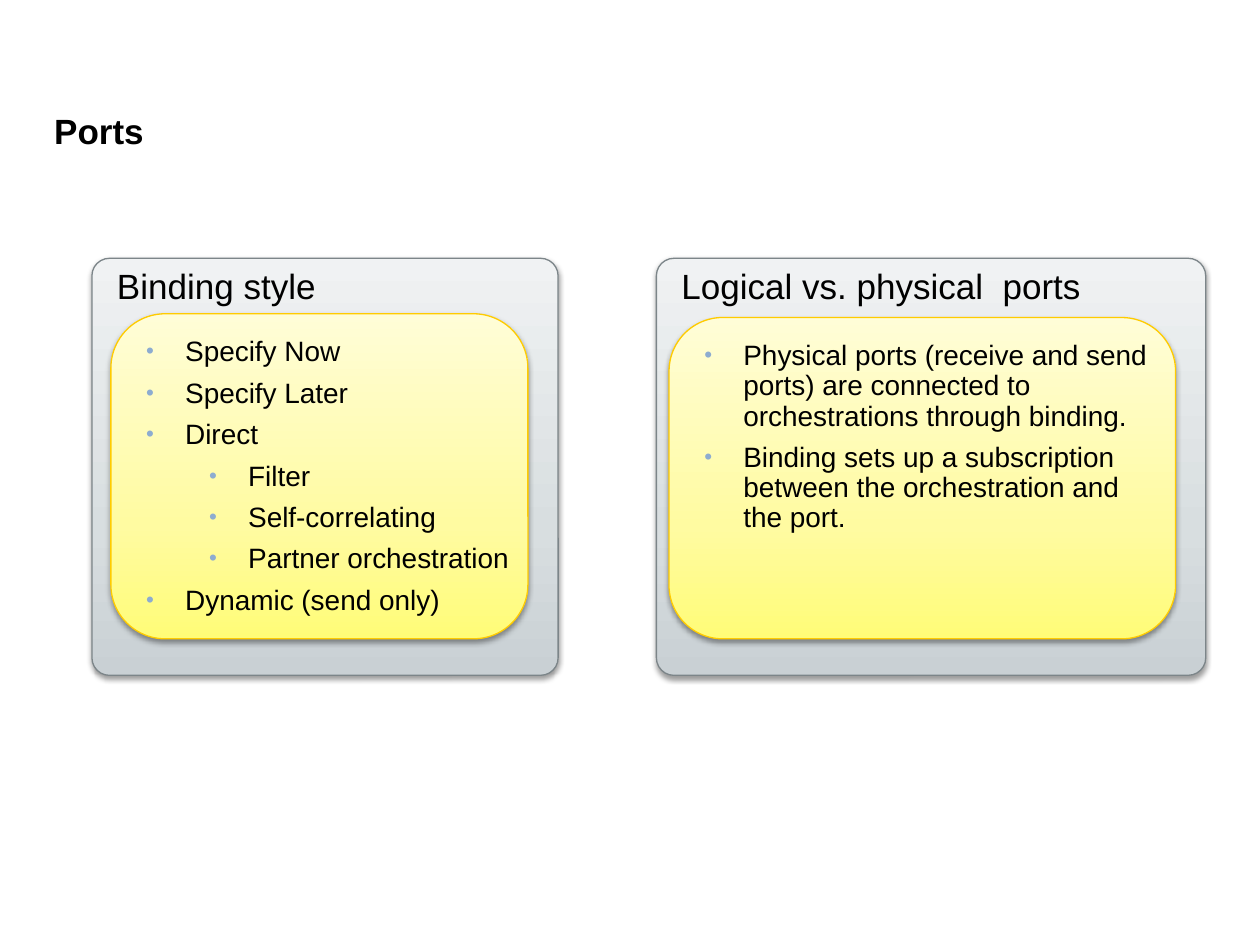
from lxml import etree
from pptx import Presentation
from pptx.dml.color import RGBColor
from pptx.enum.shapes import MSO_SHAPE
from pptx.enum.text import MSO_ANCHOR, MSO_AUTO_SIZE, PP_ALIGN
from pptx.oxml import parse_xml
from pptx.util import Inches, Pt

ROUND = MSO_SHAPE.ROUNDED_RECTANGLE
TOP, MIDDLE = MSO_ANCHOR.TOP, MSO_ANCHOR.MIDDLE
LEFT = PP_ALIGN.LEFT
NO_FIT = MSO_AUTO_SIZE.NONE
NS = "http://schemas.openxmlformats.org/drawingml/2006/main"

HEX = {"text": "000000", "bullet": "8DACD0", "grey": "7C8589", "gold": "FFCB00"}
FADES = {
    "grey": {0: "C9D0D4", 35: "D8DEE0", 100: "F0F2F3"},
    "gold": {0: "FFFC78", 35: "FFFBA1", 100: "FFFDD7"},
}
SHADOW = (
    f'<a:effectLst xmlns:a="{NS}"><a:outerShdw blurRad="{Pt(3.1)}" dist="{Pt(1.6)}" '
    'dir="5400000" rotWithShape="0"><a:srgbClr val="000000"><a:alpha val="38000"/>'
    "</a:srgbClr></a:outerShdw></a:effectLst>"
)


def add_card(box, tone, bend):
    """Add a rounded card with an upward fade and a soft shadow."""
    card = slide.shapes.add_shape(ROUND, *map(Inches, box))
    card.adjustments[0] = bend
    card.line.color.rgb = RGBColor.from_string(HEX[tone])
    card.line.width = Pt(0.75)
    stops = "".join(
        f'<a:gs pos="{pos * 1000}"><a:srgbClr val="{tint}"/></a:gs>'
        for pos, tint in FADES[tone].items()
    )
    props = card.element.spPr
    props.insert(2, parse_xml(
        f'<a:gradFill xmlns:a="{NS}" rotWithShape="1"><a:gsLst>{stops}</a:gsLst>'
        '<a:lin ang="16200000" scaled="0"/></a:gradFill>'
    ))
    props.append(parse_xml(SHADOW))
    return card


def write(para, text, size, bold=False):
    """Put one left-aligned run into a paragraph."""
    run = para.add_run()
    run.text = text
    para.alignment = LEFT
    looks = {"name": "Arial", "size": Pt(size), "bold": bold}
    for key, value in looks.items():
        setattr(run.font, key, value)
    run.font.color.rgb = RGBColor.from_string(HEX["text"])


deck = Presentation()
deck.slide_width, deck.slide_height = Inches(10), Inches(7.5)
slide = deck.slides.add_slide(deck.slide_layouts[3])
title, *lists = list(slide.placeholders)[:3]

# Title
place = {"left": 0.43, "top": 0.84, "width": 9.14, "height": 0.39}
for key, value in place.items():
    setattr(title, key, Inches(value))
frame = title.text_frame
for side in ("left", "top", "right", "bottom"):
    setattr(frame, f"margin_{side}", 0)
frame.vertical_anchor = MIDDLE
frame.auto_size = NO_FIT
write(frame.paragraphs[0], "Ports", 20, True)

# Panels: heading, outer box, inner box, list height, list items with level
panels = [
    ("Binding style", (0.73, 2.05, 3.7, 3.31), (0.88, 2.49, 3.31, 2.58), 2.44, [
        ("Specify Now", 0),
        ("Specify Later", 0),
        ("Direct", 0),
        ("Filter", 1),
        ("Self-correlating", 1),
        ("Partner orchestration", 1),
        ("Dynamic (send only)", 0),
    ]),
    ("Logical vs. physical  ports", (5.21, 2.05, 4.36, 3.31), (5.31, 2.52, 4.02, 2.55), 1.66, [
        ("Physical ports (receive and send ports) are connected to "
         "orchestrations through binding.", 0),
        ("Binding sets up a subscription between the orchestration and the port.", 0),
    ]),
]

for body, (head, outer, inner, high, items) in zip(lists, panels):
    # Grey card with its heading
    card = add_card(outer, "grey", 0.042)
    card.text_frame.word_wrap = True
    card.text_frame.vertical_anchor = TOP
    para = card.text_frame.paragraphs[0]
    para.line_spacing = 0.9
    write(para, head, 20)
    para.runs[0].font.bold = False
    para._p.get_or_add_pPr().set("marL", str(Inches(0.06)))

    # Yellow card with the list in front
    card = add_card(inner, "gold", 0.167)
    card.element.addnext(body.element)
    left, top, wide, _ = inner
    place = {"left": left + 0.18, "top": top + 0.14, "width": wide - 0.18, "height": high}
    for key, value in place.items():
        setattr(body, key, Inches(value))
    frame = body.text_frame
    frame.word_wrap = True
    frame.auto_size = NO_FIT
    frame.vertical_anchor = TOP
    for num, (text, level) in enumerate(items):
        para = frame.add_paragraph() if num else frame.paragraphs[0]
        para.level = level
        para.line_spacing = 0.9
        para.space_before = Pt(6.4 if num else 0)
        write(para, text, 16)
        props = para._p.get_or_add_pPr()
        props.set("marL", str(Inches(0.31 + level * 0.5)))
        props.set("indent", str(Inches(-0.31)))
        tint = etree.SubElement(props, f"{{{NS}}}buClr")
        etree.SubElement(tint, f"{{{NS}}}srgbClr", val=HEX["bullet"])
        etree.SubElement(props, f"{{{NS}}}buSzPct", val="80000")
        etree.SubElement(props, f"{{{NS}}}buFont", typeface="Arial")
        etree.SubElement(props, f"{{{NS}}}buChar", char="•")

deck.save("out.pptx")
